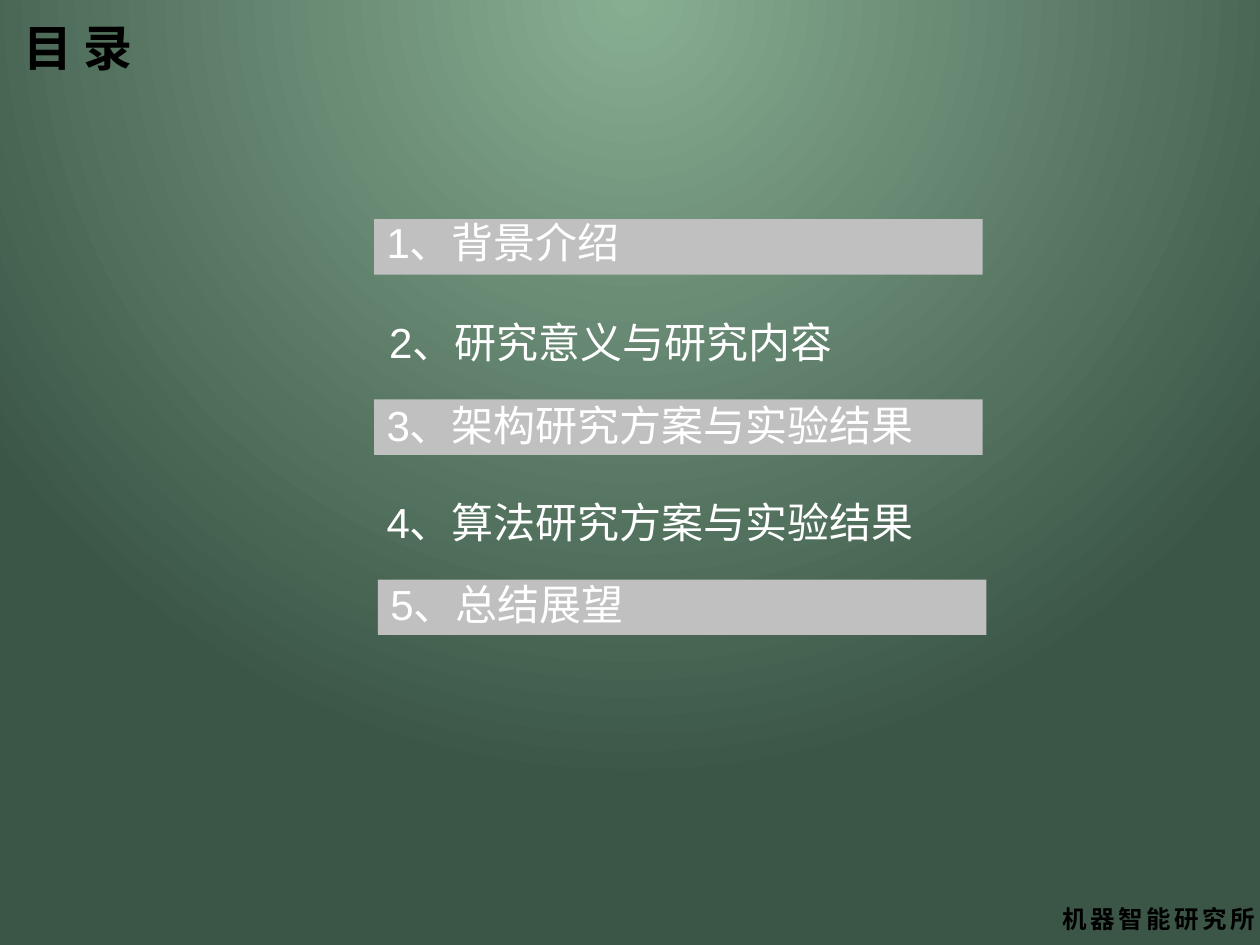
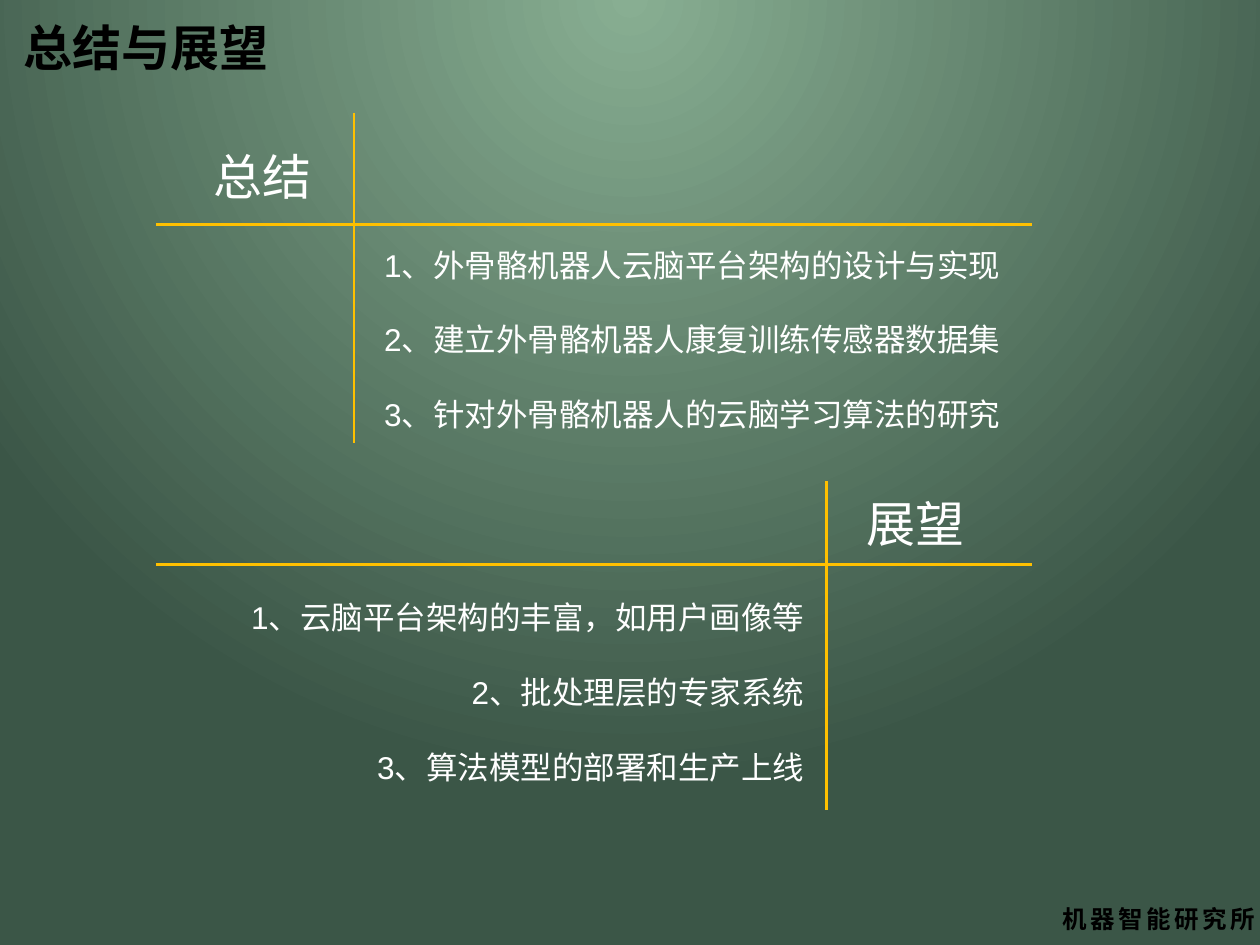
from lxml import etree
from pptx import Presentation
from pptx import util as u
from pptx.dml.color import RGBColor
from pptx.enum import shapes, text
from pptx.oxml import ns

SCALE = 9144
MINT = RGBColor(0x88, 0xAE, 0x92)
PINE = RGBColor(0x3B, 0x56, 0x47)
GRAY = RGBColor(0xC0, 0xC0, 0xC0)
GOLD = RGBColor(0xFF, 0xC0, 0x00)
WHITE = RGBColor(0xFF, 0xFF, 0xFF)
BLACK = RGBColor(0x00, 0x00, 0x00)
FACE = "Arial"
FOOT = "Noto Sans CJK JP"
LEFT, RIGHT = text.PP_ALIGN.LEFT, text.PP_ALIGN.RIGHT
TOP, MID = text.MSO_ANCHOR.TOP, text.MSO_ANCHOR.MIDDLE


def px(*nums):
    return [u.Emu(num * SCALE) for num in nums]


class Deck:
    def __init__(self):
        self.prs = Presentation()
        self.prs.slide_width, self.prs.slide_height = px(1000, 750)
        self.slide = None
        self.paint()

    def paint(self):
        back = self.prs.slide_master.background
        fill = back.fill
        fill.gradient()
        for stop, color, pos in zip(fill.gradient_stops, (MINT, PINE), (0, 1)):
            stop.color.rgb = color
            stop.position = pos
        grad = next(self.prs.slide_master.element.iter(ns.qn("a:gradFill")))
        grad.remove(grad.find(ns.qn("a:lin")))
        ring = etree.SubElement(grad, ns.qn("a:path"), path="circle")
        etree.SubElement(ring, ns.qn("a:fillToRect"),
                         l="0", t="0", r="0", b="100000")

    def page(self, words, width):
        self.slide = self.prs.slides.add_slide(self.prs.slide_layouts[5])
        head = self.slide.shapes.title
        head.left, head.top, head.width, head.height = px(9, 9, width, 57)
        self.put(head.text_frame, [words], 28, BLACK, bold=True)
        self.footer()

    def put(self, frame, lines, size, color, bold=False, align=LEFT,
            anchor=TOP, face=FACE, gap=0):
        frame.word_wrap = True
        frame.auto_size = text.MSO_AUTO_SIZE.NONE
        frame.vertical_anchor = anchor
        frame.text = "\n".join(lines)
        for i, para in enumerate(frame.paragraphs):
            para.alignment = align
            para.space_before = u.Pt(gap if i else 0)
            for run in para.runs:
                font = run.font
                font.name, font.size, font.bold = face, u.Pt(size), bold
                font.color.rgb = color

    def text(self, box, lines, size, color=WHITE, **style):
        frame = self.slide.shapes.add_textbox(*px(*box)).text_frame
        self.put(frame, lines, size, color, **style)
        return frame

    def footer(self):
        frame = self.text((796, 710, 205, 39), ["机器智能研究所"], 14, BLACK,
                          bold=True, anchor=MID, face=FOOT)
        frame.margin_left, frame.margin_right = px(47, 0)
        props = frame.paragraphs[0].runs[0].font._element
        props.set("spc", "200")
        props.find(ns.qn("a:latin")).addnext(
            etree.Element(ns.qn("a:ea"), typeface=FOOT))

    def band(self, *box):
        kind = shapes.MSO_SHAPE.RECTANGLE
        bar = self.slide.shapes.add_shape(kind, *px(*box))
        bar.shadow.inherit = False
        bar.fill.solid()
        bar.fill.fore_color.rgb = GRAY
        bar.line.fill.background()

    def line(self, *ends):
        kind = shapes.MSO_CONNECTOR.STRAIGHT
        rule = self.slide.shapes.add_connector(kind, *px(*ends))
        rule.line.color.rgb = GOLD
        rule.line.width = u.Pt(1.5)
        etree.SubElement(rule._element.spPr, ns.qn("a:effectLst"))

    def cross(self, mid, level, top, end):
        self.line(124, level, 819, level)
        self.line(mid, top, mid, end)


def agenda(deck):
    deck.page("目 录", 144)
    topics = [
        ("1、背景介绍", 297, 167),
        ("2、研究意义与研究内容", 299, 246),
        ("3、架构研究方案与实验结果", 297, 312),
        ("4、算法研究方案与实验结果", 297, 389),
        ("5、总结展望", 300, 454),
    ]
    for i, (topic, left, top) in enumerate(topics):
        if i % 2 == 0:
            deck.band(left, 174 + 143 * (i // 2), 483, 44)
        deck.text((left, top, 487, 50), [topic], 24)


def outlook(deck):
    deck.page("总结与展望", 244)
    deck.cross(281, 178, 90, 352)
    deck.text((160, 111, 107, 58), ["总结"], 28, anchor=MID)
    deck.text((295, 190, 542, 162), [
        "1、外骨骼机器人云脑平台架构的设计与实现",
        "2、建立外骨骼机器人康复训练传感器数据集",
        "3、针对外骨骼机器人的云脑学习算法的研究",
    ], 18, gap=21)
    deck.cross(656, 448, 382, 643)
    deck.text((678, 386, 107, 58), ["展望"], 28, anchor=MID)
    deck.text((124, 470, 524, 162), [
        "1、云脑平台架构的丰富，如用户画像等",
        "2、批处理层的专家系统",
        "3、算法模型的部署和生产上线",
    ], 18, align=RIGHT, gap=21)


def main():
    deck = Deck()
    agenda(deck)
    outlook(deck)
    deck.prs.save("out.pptx")


if __name__ == "__main__":
    main()
